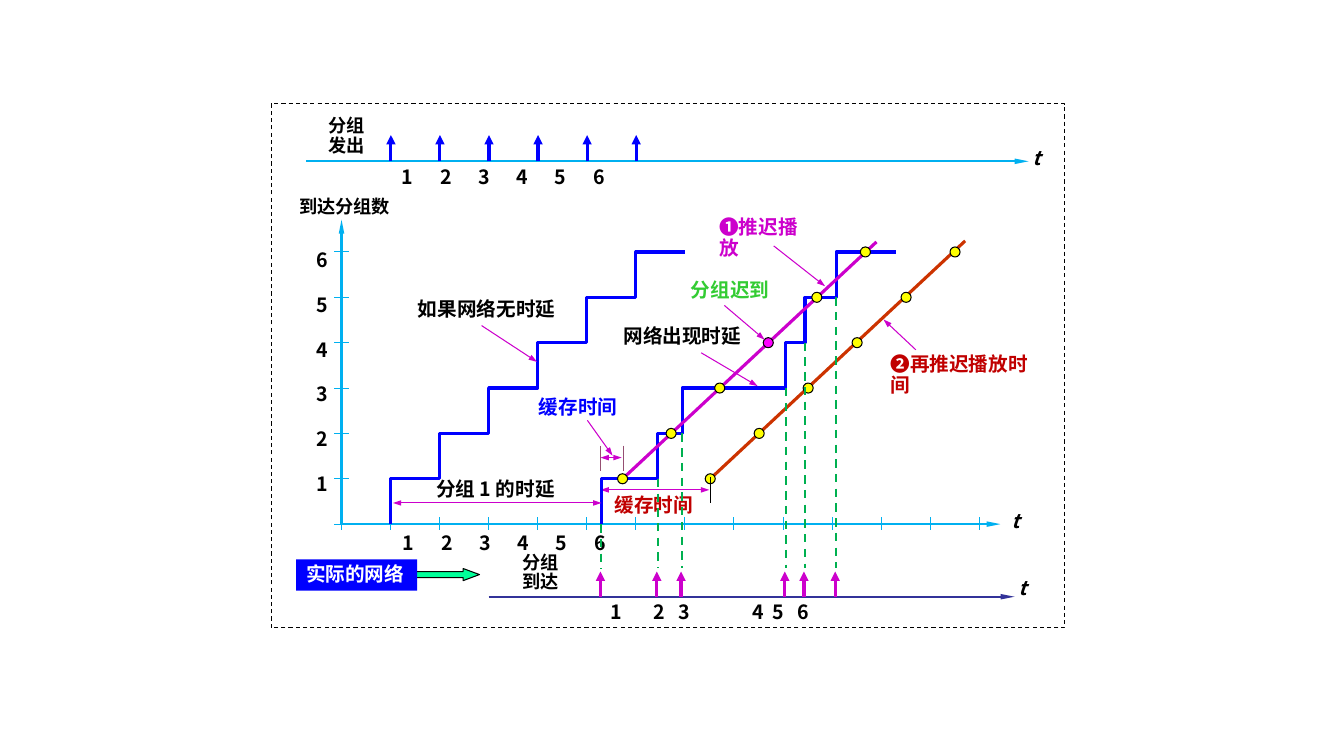
from dataclasses import dataclass
from typing import Any

from lxml.etree import SubElement
from pptx import Presentation
from pptx.dml.color import RGBColor
from pptx.enum.dml import MSO_LINE
from pptx.enum.shapes import MSO_CONNECTOR, MSO_SHAPE
from pptx.enum.text import PP_ALIGN
from pptx.oxml.ns import qn
from pptx.util import Inches, Pt

COLORS = {
    "black": "000000", "white": "FFFFFF", "sky": "00B0F0", "blue": "0000FF",
    "purple": "CC00CC", "magenta": "FF00FF", "plum": "954F72", "orange": "CC3300",
    "red": "C00000", "yellow": "FFFF00", "green": "00B050", "lime": "33CC33",
    "mint": "00FF99", "navy": "333399",
}
FONT = "Noto Sans CJK SC"
STEP = 6.33 / 13  # one packet interval on the time axis
RISE = 0.45  # one packet on the count axis
FLOOR = 3.3  # time axis, below the top of the plot box
COUNT = 6
ARRIVALS = [2.58, 3.14, 3.38, 4.41, 4.6, 4.91]  # from the left of the plot box
POINTER_TIP = ("sm", "med")  # arrowhead width and length
AXIS_TIP = ("sm", "lg")
PACKET_TIP = ("med", "med")


@dataclass
class Box:
    page: Any
    left: float
    top: float
    width: float
    height: float

    def at(self, x, y):
        return Inches(self.left + x), Inches(self.top + y)


def rgb(name):
    return RGBColor.from_string(COLORS[name])


def level(number):
    """Height of a packet count inside the plot box."""
    return FLOOR - number * RISE


def line(box, start, end, color, width=0.75, head=False, tail=False, dash=False, tip=POINTER_TIP):
    connector = box.page.shapes.add_connector(
        MSO_CONNECTOR.STRAIGHT, *box.at(*start), *box.at(*end))
    connector.line.color.rgb = rgb(color)
    connector.line.width = Pt(width)
    if dash:
        connector.line.dash_style = MSO_LINE.DASH
    properties = connector._element.spPr
    for tag, wanted in (("a:headEnd", head), ("a:tailEnd", tail)):
        if wanted:
            SubElement(properties.find(qn("a:ln")), qn(tag), type="triangle", w=tip[0], len=tip[1])
    SubElement(properties, qn("a:effectLst"))


def axis(box, start, end, color="sky"):
    line(box, start, end, color, 1.5, tail=True, tip=AXIS_TIP)


def packet_arrow(box, x, color):
    line(box, (x, box.height), (x, 0.23), color, 2.25, tail=True, tip=PACKET_TIP)


def shape(box, kind, place, fill, outline="black"):
    x, y, width, height = place
    item = box.page.shapes.add_shape(kind, *box.at(x, y), Inches(width), Inches(height))
    item.shadow.inherit = False
    item.fill.solid()
    item.fill.fore_color.rgb = rgb(fill)
    item.line.color.rgb = rgb(outline)
    item.line.width = Pt(0.75)
    return item


def dot(box, x, y, fill="yellow"):
    shape(box, MSO_SHAPE.OVAL, (x - 0.05, y - 0.05, 0.1, 0.1), fill)


def text(box, words, place, color="black", size=14, italic=False, spacing=0.9,
         align=PP_ALIGN.LEFT, wrap=False, marker="", stops=()):
    """Bold label; marker is a leading numeral sign, stops are tab positions."""
    x, y, width, height = place
    label = box.page.shapes.add_textbox(*box.at(x, y), Inches(width), Inches(height))
    frame = label.text_frame
    frame.word_wrap = wrap
    for index, words_line in enumerate(words.split("\n")):
        para = frame.paragraphs[0] if index == 0 else frame.add_paragraph()
        para.alignment = align
        para.line_spacing = spacing
        if stops:
            tabs = SubElement(para._p.get_or_add_pPr(), qn("a:tabLst"))
            for stop in stops:
                SubElement(tabs, qn("a:tab"), pos=str(Inches(stop)), algn="l")
        for content, font_name in ((marker, "Arial"), (words_line, FONT)):
            if not content:
                continue
            span = para.add_run()
            span.text = content
            span.font.name = font_name
            span.font.size = Pt(size)
            span.font.bold = True
            span.font.italic = italic
            span.font.color.rgb = rgb(color)
            SubElement(span._r.get_or_add_rPr(), qn("a:ea"), typeface=font_name)
    return label


def number_row(box, x, y, offsets):
    """Packet numbers, each at its offset from the first."""
    words = "\t".join(str(number + 1) for number in range(COUNT))
    text(box, words, (x, y, offsets[-1] + 0.4, 0.34), spacing=1.0, wrap=True, stops=offsets[1:])


def time_label(box, x, y):
    text(box, "t", (x, y, 0.28, 0.34), italic=True, spacing=1.0)


def staircase(box, risers, end):
    points = [box.at(risers[0], FLOOR)]
    for index, x in enumerate(risers):
        next_x = risers[index + 1] if index + 1 < len(risers) else end
        points += [box.at(x, level(index + 1)), box.at(next_x, level(index + 1))]
    builder = box.page.shapes.build_freeform(*points[0])
    builder.add_line_segments(points[1:], close=False)
    steps = builder.convert_to_shape()
    steps.shadow.inherit = False
    steps.fill.background()
    steps.line.color.rgb = rgb("blue")
    steps.line.width = Pt(2.25)


def frame_border(box):
    border = shape(box, MSO_SHAPE.RECTANGLE, (0, 0, box.width, box.height), "white")
    border.line.dash_style = MSO_LINE.DASH


def sending(box):
    axis(box, (0, box.height), (box.width, box.height))
    for index in range(COUNT):
        packet_arrow(box, 0.84 + index * STEP, "blue")
    text(box, "分组\n发出", (0.12, 0, 0.56, 0.49), size=13, align=PP_ALIGN.CENTER)
    number_row(box, 0.85, 0.48, [index * 0.38 for index in range(COUNT)])
    time_label(box, 7.11, 0.29)


def axes(box):
    text(box, "到达分组数", (-0.52, 0.01, 1.1, 0.3), size=13)
    axis(box, (0, FLOOR), (0, 0.28))
    axis(box, (0, FLOOR), (box.width, FLOOR))
    for number in range(COUNT + 1):
        line(box, (-0.07, level(number)), (0.07, level(number)), "sky")
    for index in range(14):
        line(box, (index * STEP, FLOOR - 0.07), (index * STEP, FLOOR + 0.06), "sky")
    counts = "\n".join(str(number) for number in range(COUNT, 0, -1))
    text(box, counts, (-0.35, 0.3, 0.31, 2.77), spacing=Pt(32))
    number_row(box, 0.51, 3.32, [index * 0.38 for index in range(COUNT)])
    time_label(box, 6.55, 3.1)


def first_buffer(box):
    text(box, "缓存时间", (1.86, 1.99, 0.98, 0.31), "blue")
    line(box, (2.44, 2.27), (2.69, 2.62), "purple", tail=True)
    for x in (2.57, 2.8):
        line(box, (x, 2.52), (x, 2.77), "plum")
    line(box, (2.57, 2.64), (2.78, 2.64), "purple", head=True, tail=True)


def playback(box, first, last, end, color, late=None):
    """Playback line with one dot per packet; the late packet stands out."""
    line(box, (first, level(1)), end, color, 2.25)
    pace = (last - first) / (COUNT - 1)
    for index in range(COUNT):
        fill = "magenta" if index + 1 == late else "yellow"
        dot(box, first + index * pace, level(index + 1), fill)


def later_playback(box):
    playback(box, 3.66, 6.09, (6.19, 0.49), "orange")
    line(box, (3.66, 2.83), (3.66, 3.09), "black")
    text(box, "缓存时间", (2.61, 2.97, 0.98, 0.31), "red")
    line(box, (2.57, 2.96), (3.65, 2.96), "purple", head=True, tail=True)
    text(box, "再推迟播放时间", (5.35, 1.57, 1.74, 0.31), "red", marker="❷", wrap=True)
    line(box, (5.7, 1.57), (5.38, 1.27), "purple", tail=True)


def no_delay(box):
    staircase(box, [(index + 1) * STEP for index in range(COUNT)], 7 * STEP)
    text(box, "如果网络无时延", (0.66, 1.02, 1.62, 0.31))
    line(box, (1.39, 1.33), (1.94, 1.69), "purple", tail=True)


def with_delay(box):
    staircase(box, ARRIVALS, 5.5)
    text(box, "网络出现时延", (2.7, 1.29, 1.37, 0.31))
    line(box, (3.57, 1.6), (4.13, 1.93), "purple", tail=True)
    line(box, (0.51, 3.09), (2.58, 3.09), "purple", head=True, tail=True)
    text(box, "分组 1 的时延", (0.84, 2.81, 1.47, 0.31))


def first_playback(box):
    playback(box, 2.79, 5.2, (5.31, 0.5), "purple", late=4)
    text(box, "推迟播放", (3.65, 0.21, 1.15, 0.31), "purple", marker="❶", wrap=True)
    line(box, (4.29, 0.54), (4.8, 0.94), "purple", tail=True)
    line(box, (3.8, 1.13), (4.2, 1.47), "purple", tail=True)
    text(box, "分组迟到", (3.37, 0.83, 0.98, 0.31), "lime")


def arrival_drops(box):
    for index, x in enumerate(ARRIVALS):
        line(box, (x, level(index)), (x, 3.74), "green", 1.5, dash=True)


def arriving(box):
    arrow = shape(box, MSO_SHAPE.RIGHT_ARROW, (1.16, 0.2, 0.66, 0.12), "mint")
    arrow.adjustments[0], arrow.adjustments[1] = 0.5, 1.35
    axis(box, (1.91, box.height), (box.width, box.height), "navy")
    for x in ARRIVALS:
        packet_arrow(box, x + 0.44, "purple")
    text(box, "分组\n到达", (2.15, 0, 0.56, 0.49), size=13)
    number_row(box, 3.02, 0.46, [0, 0.43, 0.68, 1.41, 1.61, 1.86])
    time_label(box, 7.07, 0.22)
    network = text(box, "实际的网络", (0, 0.11, 1.2, 0.31), "white")
    network.fill.solid()
    network.fill.fore_color.rgb = rgb("blue")


def main():
    deck = Presentation()
    deck.slide_width, deck.slide_height = Inches(13.34), Inches(7.5)
    page = deck.slides.add_slide(deck.slide_layouts[6])
    frame_border(Box(page, 2.69, 1.03, 7.88, 5.2))
    sending(Box(page, 3.04, 1.11, 7.17, 0.49))
    plot = Box(page, 3.39, 1.9, 6.54, FLOOR)
    for draw in (axes, first_buffer, later_playback, no_delay, with_delay):
        draw(plot)
    arriving(Box(page, 2.94, 5.44, 7.13, 0.48))
    first_playback(plot)
    arrival_drops(plot)
    deck.save("out.pptx")


if __name__ == "__main__":
    main()
